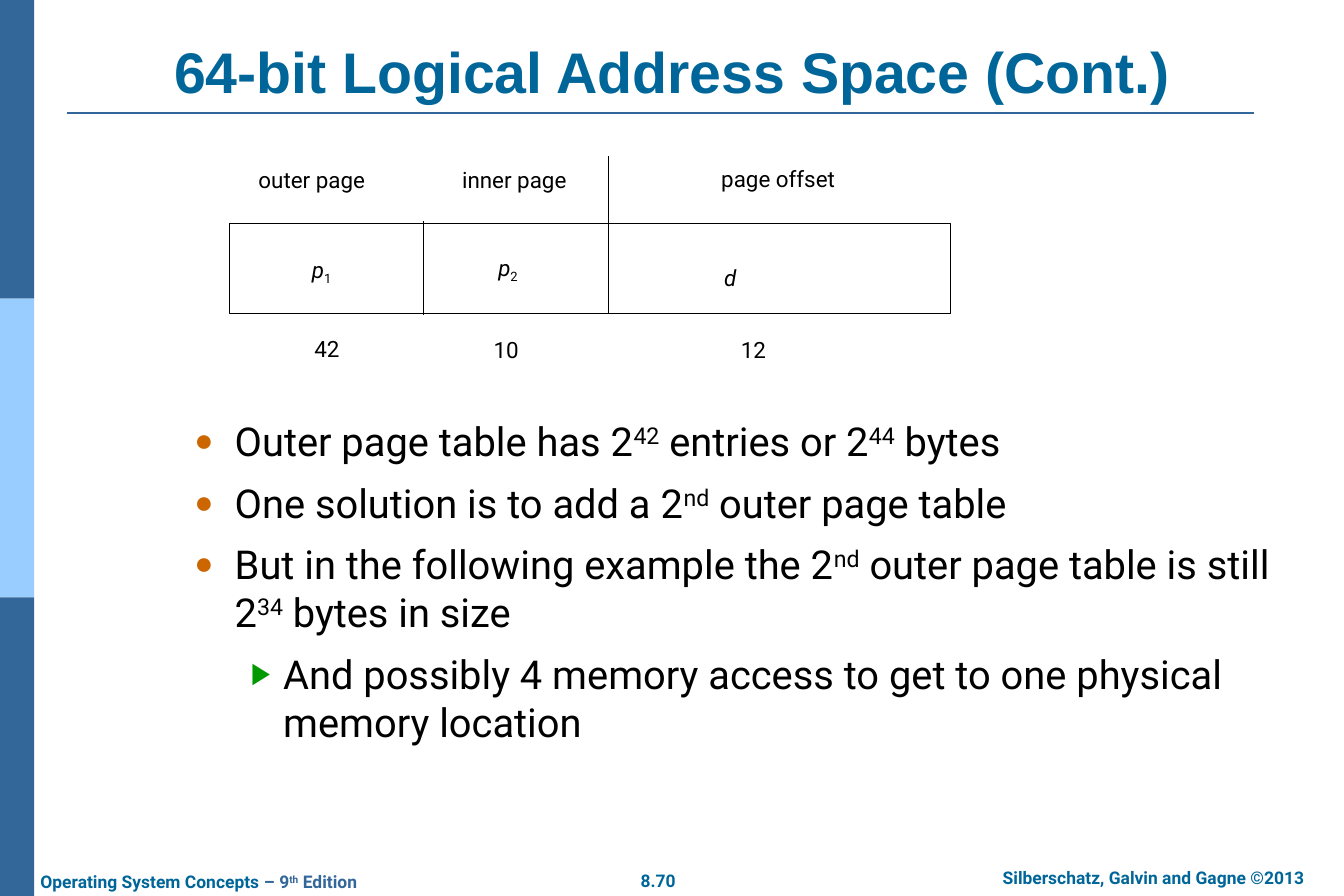
from dataclasses import dataclass
from typing import NamedTuple

from lxml.etree import SubElement as Sub
from pptx import Presentation as Deck
from pptx.dml.color import RGBColor as Color
from pptx.enum.shapes import MSO_CONNECTOR as Link, MSO_SHAPE as Form
from pptx.enum.text import MSO_ANCHOR as Anchor, PP_ALIGN as Align
from pptx.oxml.ns import qn
from pptx.util import Inches, Pt

NAVY = Color(0x33, 0x66, 0x99)
SKY = Color(0x99, 0xCC, 0xFF)
TEAL = Color(0x00, 0x66, 0x99)
BLACK = Color(0x00, 0x00, 0x00)
WHITE = Color(0xFF, 0xFF, 0xFF)
RUST = Color(0xCC, 0x66, 0x00)
GREEN = Color(0x00, 0x99, 0x00)

SUP, SUB = 30, -25
FRAME = {"margin_left": Inches(0.14), "margin_right": Inches(0.14),
         "margin_top": Inches(0.07), "margin_bottom": Inches(0.07)}
TITLE = {"name": "Arial", "size": Pt(46), "bold": True}
FOOT = {"name": "Roboto", "size": Pt(14), "bold": True}
LABEL = {"name": "Roboto", "size": Pt(18)}
BODY = {"name": "Roboto", "size": Pt(32)}


class Run(NamedTuple):
    text: str
    shift: int = 0
    color: Color = BLACK
    slant: bool = False


class Box(NamedTuple):
    left: float
    top: float
    width: float
    height: float


@dataclass
class Note:
    box: Box
    runs: list[Run]
    style: dict
    align: Align = Align.CENTER
    anchor: Anchor = Anchor.MIDDLE


@dataclass
class Rule:
    start: tuple[float, float]
    end: tuple[float, float]
    color: Color = BLACK
    width: float = 0.75


@dataclass
class Mark:
    char: str
    color: Color
    scale: int
    left: float
    hang: float


@dataclass
class Point:
    text: str
    mark: Mark


def apply(target, values: dict) -> None:
    for name, value in values.items():
        setattr(target, name, value)


def place(shape, box: Box) -> None:
    apply(shape, {name: Inches(size) for name, size in box._asdict().items()})


def write(para, runs: list[Run], style: dict) -> None:
    for item in runs:
        run = para.add_run()
        run.text = item.text
        apply(run.font, style | {"italic": item.slant})
        run.font.color.rgb = item.color
        if item.shift:
            run.font._element.set("baseline", str(item.shift * 1000))


def raised(text: str) -> list[Run]:
    return [Run(part, SUP * (i % 2)) for i, part in enumerate(text.split("^"))]


def block(slide, box: Box, fill: Color, line: Color | None = None) -> None:
    shape = slide.shapes.add_shape(Form.RECTANGLE, *map(Inches, box))
    shape.shadow.inherit = False
    shape.fill.solid()
    shape.fill.fore_color.rgb = fill
    if line is None:
        shape.line.fill.background()
    else:
        shape.line.color.rgb = line
        shape.line.width = Pt(0.75)


def stroke(slide, rule: Rule) -> None:
    ends = map(Inches, rule.start + rule.end)
    line = slide.shapes.add_connector(Link.STRAIGHT, *ends)
    line.line.color.rgb = rule.color
    line.line.width = Pt(rule.width)
    Sub(line._element.spPr, qn("a:effectLst"))


def label(slide, note: Note) -> None:
    frame = slide.shapes.add_textbox(*map(Inches, note.box)).text_frame
    apply(frame, FRAME | {"word_wrap": False, "vertical_anchor": note.anchor})
    para = frame.paragraphs[0]
    para.alignment = note.align
    write(para, note.runs, note.style)


def bullet(para, mark: Mark) -> None:
    props = para._p.get_or_add_pPr()
    props.set("marL", str(Inches(mark.left)))
    props.set("indent", str(Inches(-mark.hang)))
    tint = Sub(Sub(props, qn("a:buClr")), qn("a:srgbClr"))
    tint.set("val", str(mark.color))
    Sub(props, qn("a:buSzPct")).set("val", str(mark.scale * 1000))
    Sub(props, qn("a:buFont")).set("typeface", "Arial")
    Sub(props, qn("a:buChar")).set("char", mark.char)


def listing(slide, box: Box, points: list[Point]) -> None:
    frame = slide.shapes.add_textbox(*map(Inches, box)).text_frame
    apply(frame, FRAME | {"word_wrap": True})
    for i, point in enumerate(points):
        para = frame.add_paragraph() if i else frame.paragraphs[0]
        if i:
            para.space_before = Pt(11.2)
        bullet(para, point.mark)
        write(para, raised(point.text), BODY)


DOT = Mark("●", RUST, 80, 1.16, 0.45)
ARROW = Mark("▶", GREEN, 75, 1.7, 0.36)

POINTS = [
    Point("Outer page table has 2^42^ entries or 2^44^ bytes", DOT),
    Point("One solution is to add a 2^nd^ outer page table", DOT),
    Point("But in the following example the 2^nd^ outer page table is still "
          "2^34^ bytes in size", DOT),
    Point("And possibly 4 memory access to get to one physical memory location",
          ARROW),
]

RULES = [
    Rule((0.75, 1.26), (14, 1.26), NAVY, 1.5),
    Rule((4.73, 2.47), (4.73, 3.52)),
    Rule((6.79, 1.74), (6.79, 3.5)),
]

FIELDS = [
    (Box(2.3, 1.65, 2.36, 0.71), [Run("outer page")]),
    (Box(4.57, 1.65, 2.34, 0.71), [Run("inner page")]),
    (Box(7.47, 1.64, 2.43, 0.71), [Run("page offset")]),
    (Box(3.16, 2.67, 0.86, 0.71), [Run("p", slant=True), Run("1", SUB)]),
    (Box(5.24, 2.65, 0.86, 0.71), [Run("p", slant=True), Run("2", SUB)]),
    (Box(7.78, 2.74, 0.74, 0.71), [Run("d", slant=True)]),
    (Box(3.08, 3.53, 1.14, 0.71), [Run("42")]),
    (Box(5.08, 3.55, 1.14, 0.71), [Run("10")]),
    (Box(7.84, 3.55, 1.14, 0.71), [Run("12")]),
]

EDITION = [Run("Operating System Concepts", color=TEAL), Run(" – 9", color=NAVY),
           Run("th", SUP, NAVY), Run(" Edition", color=NAVY)]
CREDIT = [Run("Silberschatz, Galvin and Gagne ©2013", color=TEAL)]
FEET = [
    Note(Box(0.31, 9.65, 4.08, 0.38), EDITION, FOOT, Align.LEFT, Anchor.TOP),
    Note(Box(7, 9.64, 0.69, 0.38), [Run("8.70", color=TEAL)], FOOT,
         anchor=Anchor.TOP),
    Note(Box(10.65, 9.61, 4.45, 0.38), CREDIT, FOOT, anchor=Anchor.TOP),
]


def main() -> None:
    deck = Deck()
    apply(deck, {"slide_width": Inches(15), "slide_height": Inches(10)})
    slide = deck.slides.add_slide(deck.slide_layouts[5])
    title = slide.shapes.title
    place(title, Box(0.75, 0.4, 13.5, 0.84))
    apply(title.text_frame, FRAME | {"vertical_anchor": Anchor.BOTTOM})
    para = title.text_frame.paragraphs[0]
    para.alignment = Align.CENTER
    write(para, [Run("64-bit Logical Address Space (Cont.)", color=TEAL)], TITLE)
    band = 10 / 3
    for i, fill in enumerate((NAVY, SKY, NAVY)):
        block(slide, Box(0, i * band, 0.38, band), fill)
    listing(slide, Box(1.32, 4.58, 13.5, 3.83), POINTS)
    block(slide, Box(2.56, 2.49, 8.05, 1.01), WHITE, BLACK)
    for rule in RULES:
        stroke(slide, rule)
    for note in [Note(box, runs, LABEL) for box, runs in FIELDS] + FEET:
        label(slide, note)
    deck.save("out.pptx")


if __name__ == "__main__":
    main()
